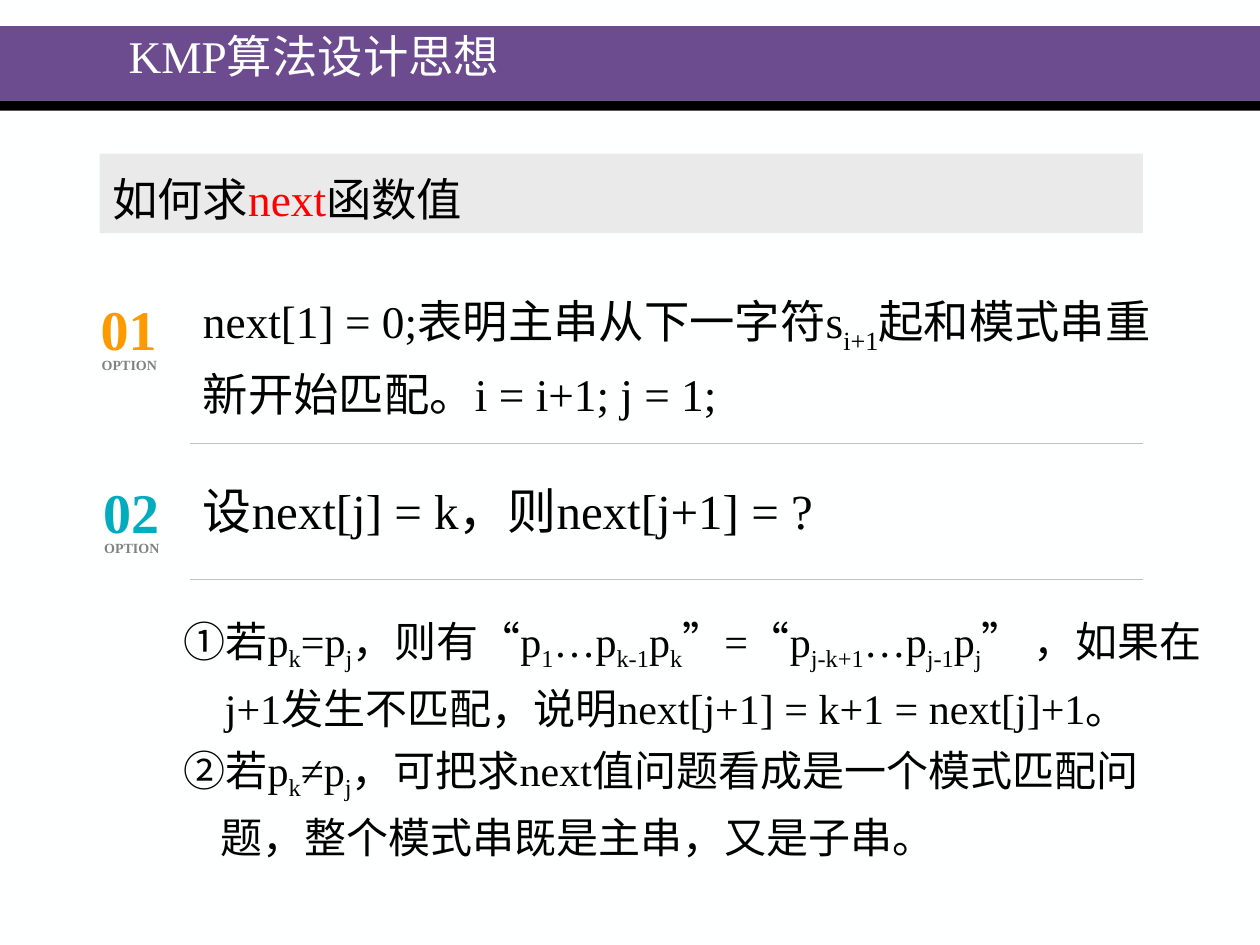
"""Build the slide on computing the next function in the KMP algorithm."""
from pptx import Presentation
from pptx.dml.color import RGBColor
from pptx.enum.shapes import MSO_CONNECTOR, MSO_SHAPE
from pptx.enum.text import MSO_ANCHOR, MSO_AUTO_SIZE, PP_ALIGN
from pptx.oxml.ns import qn
from pptx.util import Cm, Pt
from lxml.etree import SubElement

THEME = {
    "font": "Times New Roman",
    "paper": "FEFFFF", "purple": "6C4C8F", "ink": "000000", "panel": "EAEAEA",
    "accent": "FF0000", "caption": "818181", "rule": "C0C0C0",
    "heading": 25.9, "question": 28, "body": 24, "number": 32, "small": 8,
}
TITLE = "KMP算法设计思想"
QUESTION = "如何求|next|函数值"
OPTIONS = [
    {"number": "01", "color": "FF9900", "left": 2.03, "top": 5.94,
     "text": "next[1] = 0;表明主串从下一字符s|i+1|起和模式串重新开始匹配。i = i+1; j = 1;",
     "box": (3.84, 5.54, 20.27, 3.07), "size": "heading", "rule": 8.94},
    {"number": "02", "color": "01ACBE", "left": 2.08, "top": 9.63,
     "text": "设next[j] = k，则next[j+1] = ?",
     "box": (3.84, 9.32, 18.97, 1.78), "size": "question", "rule": 11.68},
]
HANGING = (1.7, -1.7)
CASES = [
    ("①若p|k|=p|j|，则有“p|1|…p|k-1|p|k|”=“p|j-k+1|…p|j-1|p|j|” ，如果在", HANGING),
    ("j+1发生不匹配，说明next[j+1] = k+1 = next[j]+1。", (0.83, 0)),
    ("②若p|k|≠p|j|，可把求next值问题看成是一个模式匹配问", HANGING),
    ("题，整个模式串既是主串，又是子串。", (0.75, 0)),
]
RULE_ENDS = (3.84, 23.04)


def rgb(name):
    return RGBColor.from_string(THEME.get(name, name))


def place(box, left, top, width, height):
    box.left, box.top, box.width, box.height = map(Cm, (left, top, width, height))


def prepare(box, anchor=MSO_ANCHOR.TOP, wrap=True):
    frame = box.text_frame
    frame.word_wrap = wrap
    frame.auto_size = MSO_AUTO_SIZE.NONE
    frame.vertical_anchor = anchor
    return frame


def write(paragraph, text, size, color="ink", bold=False, spacing=1.0, marked=None):
    """Write text whose parts between bars are subscripts, or take the marked colour."""
    paragraph.alignment = PP_ALIGN.LEFT
    paragraph.line_spacing = spacing
    paragraph.space_before = Pt(0)
    for index, part in enumerate(text.split("|")):
        span = paragraph.add_run()
        span.text = part
        font = span.font
        font.name, font.size, font.bold = THEME["font"], Pt(THEME[size]), bold
        special = index % 2 == 1
        font.color.rgb = rgb(marked if special and marked else color)
        if special and not marked:
            font._element.set("baseline", "-25000")


def add_panel(page, bounds, color):
    panel = page.shapes.add_shape(MSO_SHAPE.RECTANGLE, *map(Cm, bounds))
    panel.shadow.inherit = False
    panel.fill.solid()
    panel.fill.fore_color.rgb = rgb(color)
    panel.line.fill.background()
    return panel


def add_text(page, bounds, text, size, color="ink", bold=False, spacing=1.0,
             anchor=MSO_ANCHOR.TOP, wrap=True, inset=True):
    box = page.shapes.add_textbox(*map(Cm, bounds))
    frame = prepare(box, anchor, wrap)
    if not inset:
        frame.margin_left = frame.margin_right = 0
        frame.margin_top = frame.margin_bottom = 0
    write(frame.paragraphs[0], text, size, color, bold, spacing)


def add_rule(page, height):
    left, right = RULE_ENDS
    rule = page.shapes.add_connector(
        MSO_CONNECTOR.STRAIGHT, Cm(left), Cm(height), Cm(right), Cm(height))
    rule.line.color.rgb = rgb("rule")
    rule.line.width = Pt(0.75)
    SubElement(rule.element.spPr, qn("a:effectLst"))


def add_option(page, option):
    left, top = option["left"], option["top"]
    add_text(page, option["box"], option["text"], option["size"], spacing=1.2)
    add_text(page, (left, top, 1.24, 1.35), option["number"], "number",
             option["color"], True, anchor=MSO_ANCHOR.MIDDLE, inset=False)
    add_text(page, (left - 0.23, top + 1.13, 1.63, 0.61), "OPTION", "small",
             "caption", True, wrap=False)
    add_rule(page, option["rule"])


def fill_title(page):
    title = page.shapes.title
    place(title, 2.34, 0.48, 17.81, 1.42)
    frame = prepare(title, MSO_ANCHOR.MIDDLE)
    write(frame.paragraphs[0], TITLE, "heading", "paper", spacing=0.9)
    title.element.getparent().append(title.element)


def fill_cases(page):
    body = page.placeholders[1]
    place(body, 3.45, 12.04, 21.51, 5.87)
    frame = prepare(body)
    for index, (text, (margin, indent)) in enumerate(CASES):
        paragraph = frame.add_paragraph() if index else frame.paragraphs[0]
        write(paragraph, text, "body", spacing=1.2)
        properties = paragraph._p.get_or_add_pPr()
        properties.set("marL", str(Cm(margin)))
        properties.set("indent", str(Cm(indent)))
        SubElement(properties, qn("a:buNone"))


def main():
    deck = Presentation()
    deck.slide_width, deck.slide_height = Cm(25.4), Cm(19.05)
    page = deck.slides.add_slide(deck.slide_layouts[1])
    page.background.fill.solid()
    page.background.fill.fore_color.rgb = rgb("paper")
    add_panel(page, (0, 0.53, 25.4, 1.5), "purple")
    add_panel(page, (0, 2.03, 25.4, 0.2), "ink")
    question = add_panel(page, (2.01, 3.1, 21.03, 1.6), "panel")
    frame = prepare(question, MSO_ANCHOR.MIDDLE)
    write(frame.paragraphs[0], QUESTION, "heading", spacing=1.2, marked="accent")
    fill_title(page)
    for option in OPTIONS:
        add_option(page, option)
    fill_cases(page)
    deck.save("out.pptx")


if __name__ == "__main__":
    main()
